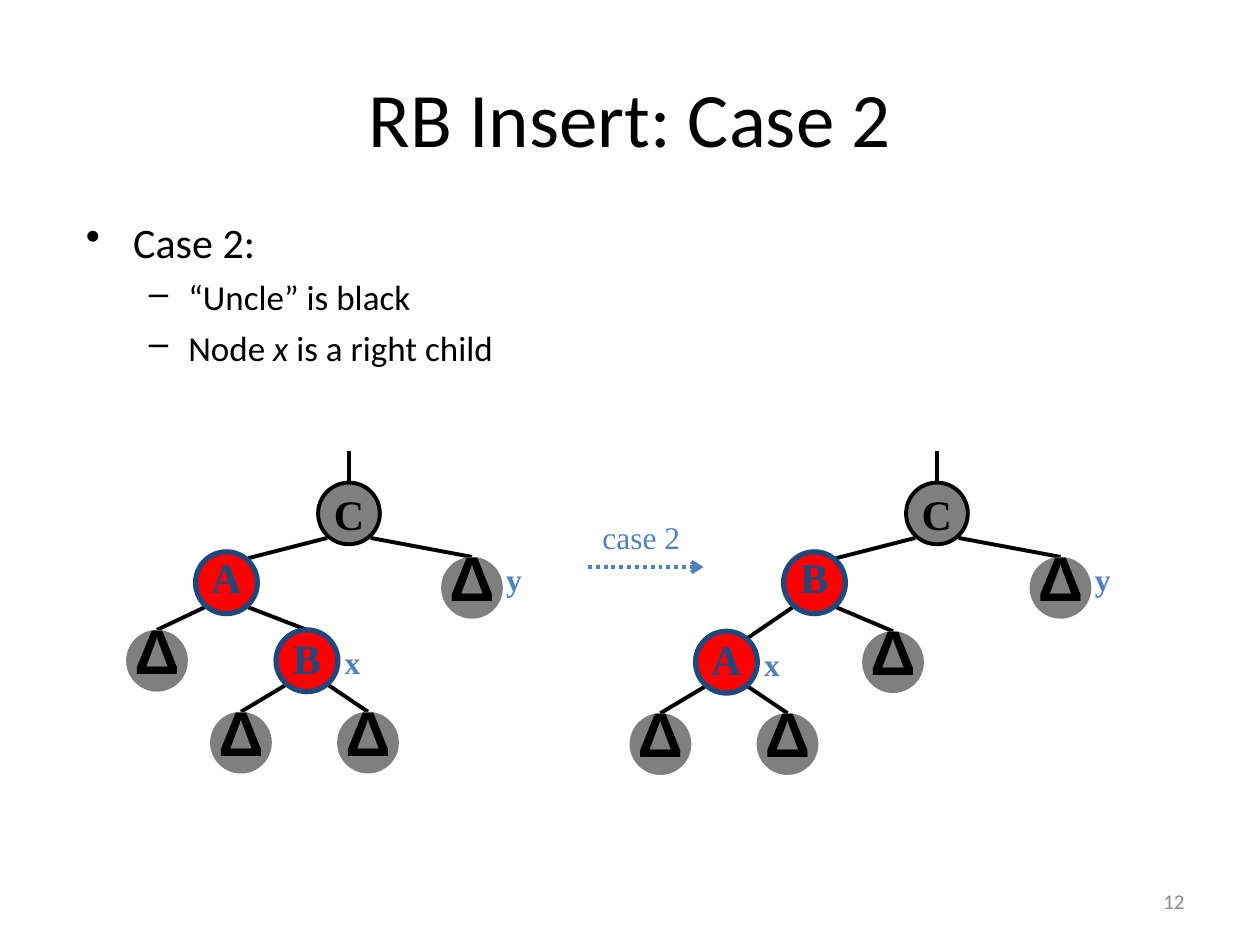
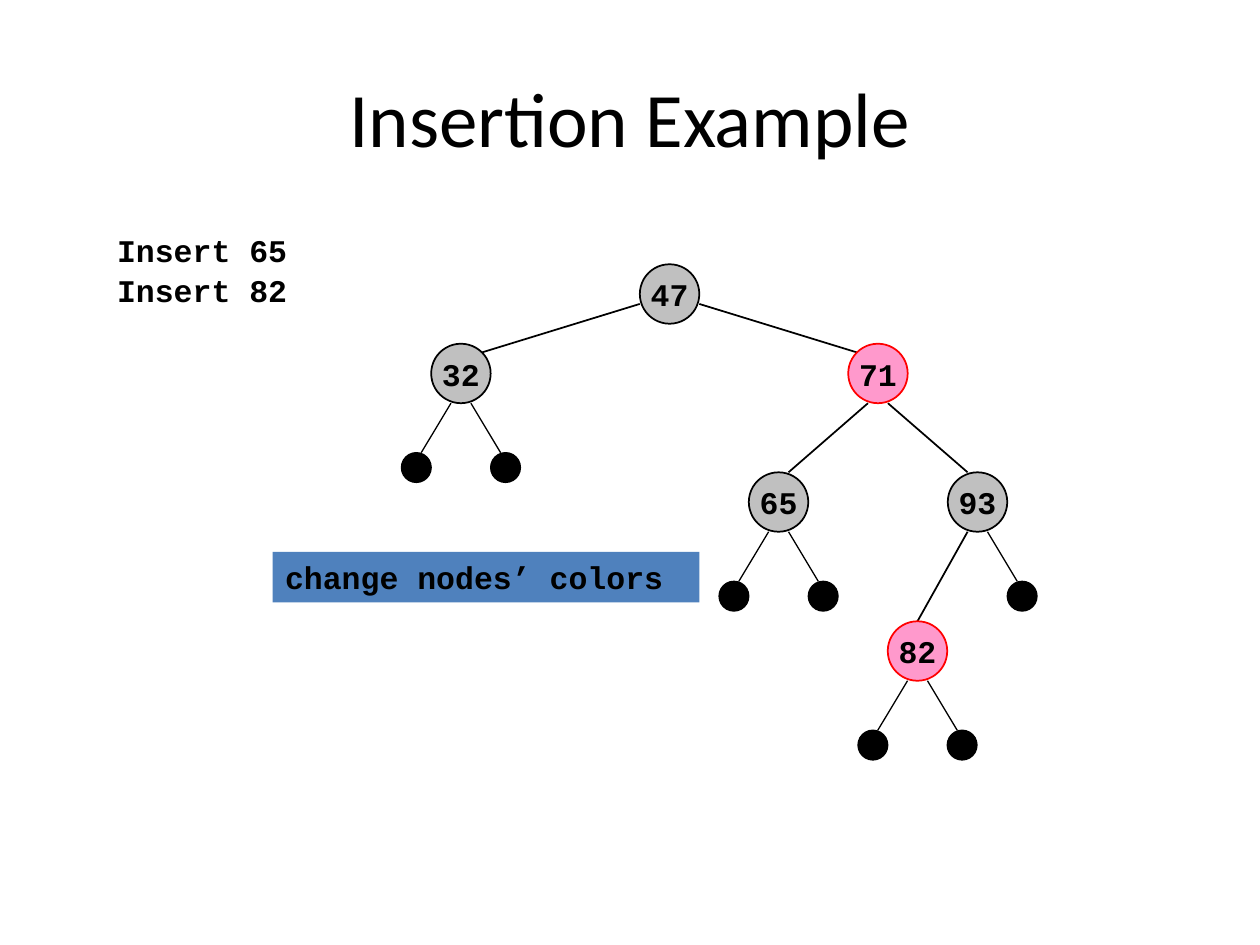
from lxml import etree
from pptx import Presentation
from pptx.dml.color import RGBColor
from pptx.enum import dml, shapes, text
from pptx.oxml import ns
from pptx.util import Pt

COLORS = {
    "black": "000000", "gray": "7F7F7F", "silver": "C0C0C0", "red": "FF0000",
    "pink": "FF99CC", "navy": "1F497D", "blue": "4F81BD", "footer": "898989",
}
CENTER, LEFT, RIGHT = text.PP_ALIGN.CENTER, text.PP_ALIGN.LEFT, text.PP_ALIGN.RIGHT

# Case 2 slide
BULLETS = [  # level, runs as (text, italic)
    (0, [("Case 2:", False)]),
    (1, [("“Uncle” is black", False)]),
    (1, [("Node ", False), ("x", True), (" is a right child", False)]),
]
BULLET_STYLES = [  # mark, size, space before, left indent, hanging indent
    ("•", 24, 6, 27, 27),
    ("–", 20, 5, 58.5, 22.5),
]
NODE_SIZE = 35.3
NODE_STYLES = {  # fill, line, line width, font, size, font color
    "black": ("gray", "black", 2.25, "Times New Roman", 24, "black"),
    "red": ("red", "navy", 3, "Times New Roman", 24, "navy"),
    "subtree": ("gray", None, 0, "Arial", 36, "black"),
}
SHOULDER = (12.4, 14)
LABEL_OFFSETS = {"x": (26, 1), "y": (24, -5)}
# name: (letter, style, line spacing, center, parent, label)
TREE_BEFORE = {
    "C": ("C", "black", 1, (199.4, 293.4), None, None),
    "A": ("A", "red", 0.7, (129.4, 333), "C", None),
    "uncle": ("Δ", "subtree", 0.6, (269.7, 335.9), "C", "y"),
    "A left": ("Δ", "subtree", 0.6, (89.7, 377.6), "A", None),
    "B": ("B", "red", 0.9, (175.4, 377.6), "A", "x"),
    "B left": ("Δ", "subtree", 0.6, (137.7, 424.4), "B", None),
    "B right": ("Δ", "subtree", 0.6, (210.3, 424.4), "B", None),
}
TREE_AFTER = {
    "C": ("C", "black", 1, (535.4, 293.4), None, None),
    "B": ("B", "red", 0.7, (465.4, 333), "C", None),
    "uncle": ("Δ", "subtree", 0.6, (606, 335.9), "C", "y"),
    "A": ("A", "red", 0.9, (415.1, 378.4), "B", "x"),
    "B right": ("Δ", "subtree", 0.6, (510.3, 378.4), "B", None),
    "A left": ("Δ", "subtree", 0.6, (377.4, 425.2), "A", None),
    "A right": ("Δ", "subtree", 0.6, (450, 425.2), "A", None),
}

# Insertion example slide
STEPS = ["Insert 65", "Insert 82"]
KEY_SIZE, NIL_SIZE = 34, 17
KEY_STYLES = {"black": ("silver", "black"), "red": ("pink", "red")}
KEYS = {  # key: (style, center, sides with a nil leaf)
    "47": ("black", (382.6, 168), ()),
    "32": ("black", (263.4, 213.4), (-1, 1)),
    "71": ("red", (501.7, 213.4), ()),
    "65": ("black", (444.9, 286.9), (-1, 1)),
    "93": ("black", (558.6, 286.9), (1,)),
    "82": ("red", (524.3, 372), (-1, 1)),
}
FOOT, HEAD, SIDE = (5.7, 17), (5.7, -17), (17, 5.7)
KEY_EDGES = [  # parent, child, offset at the parent, offset at the child
    ("47", "32", SIDE, (11.3, -11.8)),
    ("47", "71", SIDE, (11.3, -11.8)),
    ("71", "65", FOOT, HEAD),
    ("71", "93", FOOT, HEAD),
    ("93", "82", FOOT, (0, -17)),
]
NIL_OFFSET = (25.5, 53.8)


def rgb(name):
    return RGBColor.from_string(COLORS[name])


def format_paragraph(paragraph, font, size, color, bold=False, align=LEFT):
    paragraph.alignment = align
    paragraph.font.name = font
    paragraph.font.size = Pt(size)
    paragraph.font.bold = bold
    paragraph.font.color.rgb = rgb(color)


def add_titled_slide(presentation, title):
    slide = presentation.slides.add_slide(presentation.slide_layouts[5])
    shape = slide.shapes.title
    shape.left, shape.top, shape.width, shape.height = Pt(36), Pt(21.6), Pt(648), Pt(90)
    shape.text_frame.text = title
    shape.text_frame.vertical_anchor = text.MSO_ANCHOR.MIDDLE
    format_paragraph(shape.text_frame.paragraphs[0], "Calibri", 44, "black", align=CENTER)
    return slide


def add_text(slide, box, content, font, size, color, bold=False, align=LEFT, fill=None):
    shape = slide.shapes.add_textbox(*map(Pt, box))
    if fill:
        shape.fill.solid()
        shape.fill.fore_color.rgb = rgb(fill)
    frame = shape.text_frame
    frame.word_wrap = True
    frame.text = content
    format_paragraph(frame.paragraphs[0], font, size, color, bold, align)
    return shape


def add_circle(slide, center, size, fill, line, line_width):
    x, y = center
    shape = slide.shapes.add_shape(shapes.MSO_SHAPE.OVAL, Pt(x - size / 2),
                                   Pt(y - size / 2), Pt(size), Pt(size))
    shape.shadow.inherit = False
    shape.fill.solid()
    shape.fill.fore_color.rgb = rgb(fill)
    if line:
        shape.line.color.rgb = rgb(line)
        shape.line.width = Pt(line_width)
    else:
        shape.line.fill.background()
    return shape


def write_in_circle(shape, content, font, size, color, spacing=1):
    frame = shape.text_frame
    frame.word_wrap = False
    frame.vertical_anchor = text.MSO_ANCHOR.MIDDLE
    frame.text = content
    paragraph = frame.paragraphs[0]
    format_paragraph(paragraph, font, size, color, True, CENTER)
    paragraph.line_spacing = spacing


def add_line(slide, start, end, color, width):
    line = slide.shapes.add_connector(shapes.MSO_CONNECTOR.STRAIGHT,
                                      *map(Pt, (*start, *end)))
    line.line.color.rgb = rgb(color)
    line.line.width = Pt(width)
    etree.SubElement(line._element.spPr, ns.qn("a:effectLst"))
    return line


def add_edge(slide, parent, child, parent_offset, child_offset, width):
    """Join two centers; offsets are given for a right child and mirrored for a left one."""
    side = 1 if child[0] > parent[0] else -1
    start = (parent[0] + side * parent_offset[0], parent[1] + parent_offset[1])
    end = (child[0] - side * child_offset[0], child[1] + child_offset[1])
    add_line(slide, start, end, "black", width)


def add_bullets(slide):
    shape = slide.shapes.add_textbox(Pt(42), Pt(120.2), Pt(642.2), Pt(138.2))
    frame = shape.text_frame
    frame.word_wrap = True
    for index, (level, runs) in enumerate(BULLETS):
        mark, size, space, indent, hanging = BULLET_STYLES[level]
        paragraph = frame.paragraphs[0] if index == 0 else frame.add_paragraph()
        for content, italic in runs:
            run = paragraph.add_run()
            run.text = content
            run.font.italic = italic
        paragraph.level = level
        paragraph.space_before = Pt(space)
        format_paragraph(paragraph, "Calibri", size, "black")
        properties = paragraph._p.get_or_add_pPr()
        properties.set("marL", str(Pt(indent)))
        properties.set("indent", str(-Pt(hanging)))
        bullet = etree.Element(ns.qn("a:buChar"), char=mark)
        properties.find(ns.qn("a:defRPr")).addprevious(bullet)


def add_rotation_tree(slide, tree):
    root_x, root_y = tree["C"][3]
    root_top = root_y - NODE_SIZE / 2
    add_line(slide, (root_x, root_top), (root_x, root_top - 18), "black", 2.25)
    for _, style, _, center, parent, _ in tree.values():
        if parent:
            parent_center = tree[parent][3]
            is_left = center[0] < parent_center[0]
            meets_shoulder = style == "red" and is_left
            end = (SHOULDER[0], -SHOULDER[1]) if meets_shoulder else (0, -NODE_SIZE / 2)
            add_edge(slide, parent_center, center, SHOULDER, end, 2.25)
    for letter, style, spacing, center, _, label in tree.values():
        fill, line, width, font, size, color = NODE_STYLES[style]
        circle = add_circle(slide, center, NODE_SIZE, fill, line, width)
        write_in_circle(circle, letter, font, size, color, spacing)
        if label:
            dx, dy = LABEL_OFFSETS[label]
            box = (center[0] + dx - 11.5, center[1] + dy - 14.4, 23, 28.8)
            shape = add_text(slide, box, label, "Times New Roman", 18, "blue", True, CENTER)
            shape.text_frame.word_wrap = False


def build_case_slide(presentation):
    slide = add_titled_slide(presentation, "RB Insert: Case 2")
    add_bullets(slide)
    for tree in (TREE_BEFORE, TREE_AFTER):
        add_rotation_tree(slide, tree)
    arrow = add_line(slide, (336, 324), (402, 324), "blue", 2.25)
    arrow.line.dash_style = dml.MSO_LINE.ROUND_DOT
    etree.SubElement(arrow.line._get_or_add_ln(), ns.qn("a:tailEnd"), type="arrow")
    caption = add_text(slide, (337, 292.3, 59, 28.8), "case 2",
                       "Times New Roman", 18, "blue", align=CENTER)
    caption.text_frame.word_wrap = False
    number = add_text(slide, (516.2, 500.4, 167.8, 28.8), "12",
                      "Calibri", 12, "footer", align=RIGHT)
    number.text_frame.vertical_anchor = text.MSO_ANCHOR.MIDDLE


def build_example_slide(presentation):
    slide = add_titled_slide(presentation, "Insertion Example")
    for index, step in enumerate(STEPS):
        add_text(slide, (59.8, 128.2 + 23 * index, 187.2, 28.8), step,
                 "Courier New", 18, "black", True)
    for parent, child, start, end in KEY_EDGES:
        add_edge(slide, KEYS[parent][1], KEYS[child][1], start, end, 1)
    for key, (style, center, nil_sides) in KEYS.items():
        circle = add_circle(slide, center, KEY_SIZE, *KEY_STYLES[style], 1)
        write_in_circle(circle, key, "Courier New", 18, "black")
        for side in nil_sides:
            nil = (center[0] + side * NIL_OFFSET[0], center[1] + NIL_OFFSET[1])
            add_edge(slide, center, nil, FOOT, (2.8, -NIL_SIZE / 2), 0.75)
            add_circle(slide, nil, NIL_SIZE, "black", "black", 0.75)
    add_text(slide, (155.8, 315.4, 243.8, 28.8), "change nodes’ colors",
             "Courier New", 18, "black", True, fill="blue")


def main():
    presentation = Presentation()
    presentation.slide_width, presentation.slide_height = Pt(720), Pt(540)
    build_case_slide(presentation)
    build_example_slide(presentation)
    presentation.save("out.pptx")


if __name__ == "__main__":
    main()
